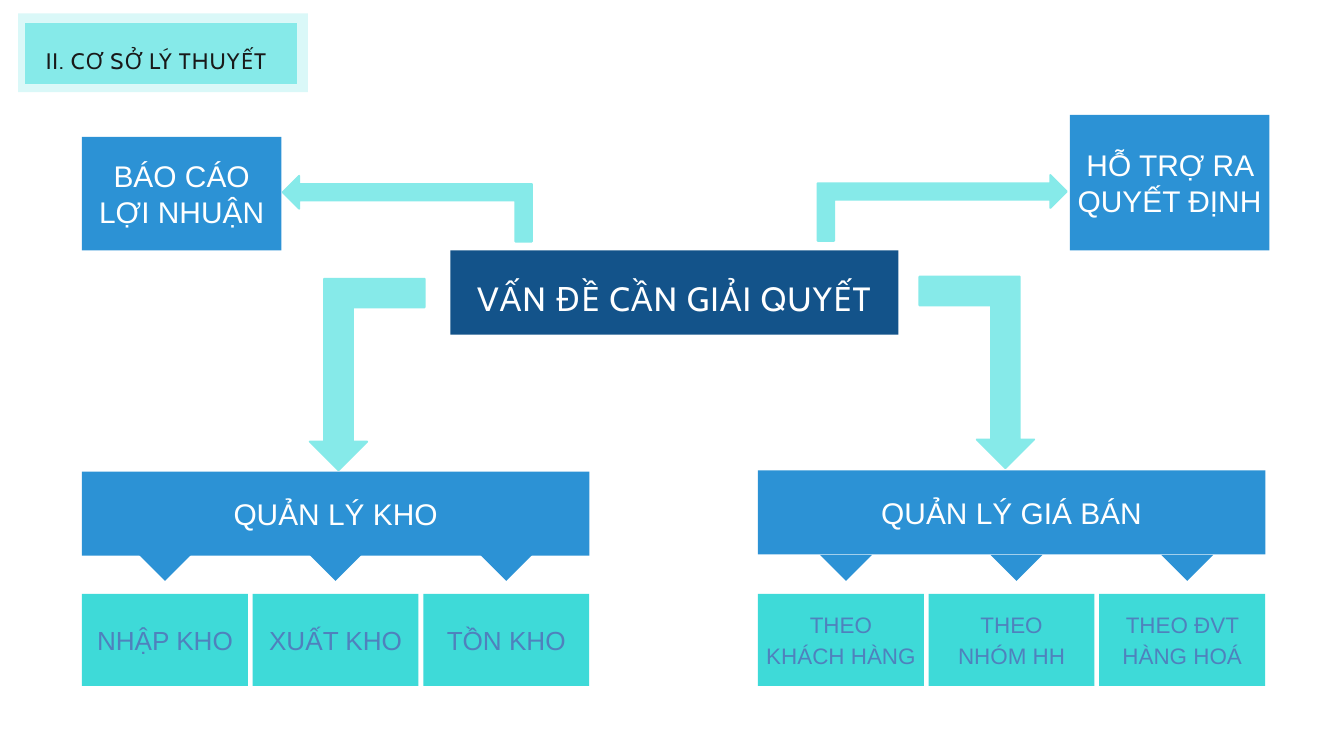
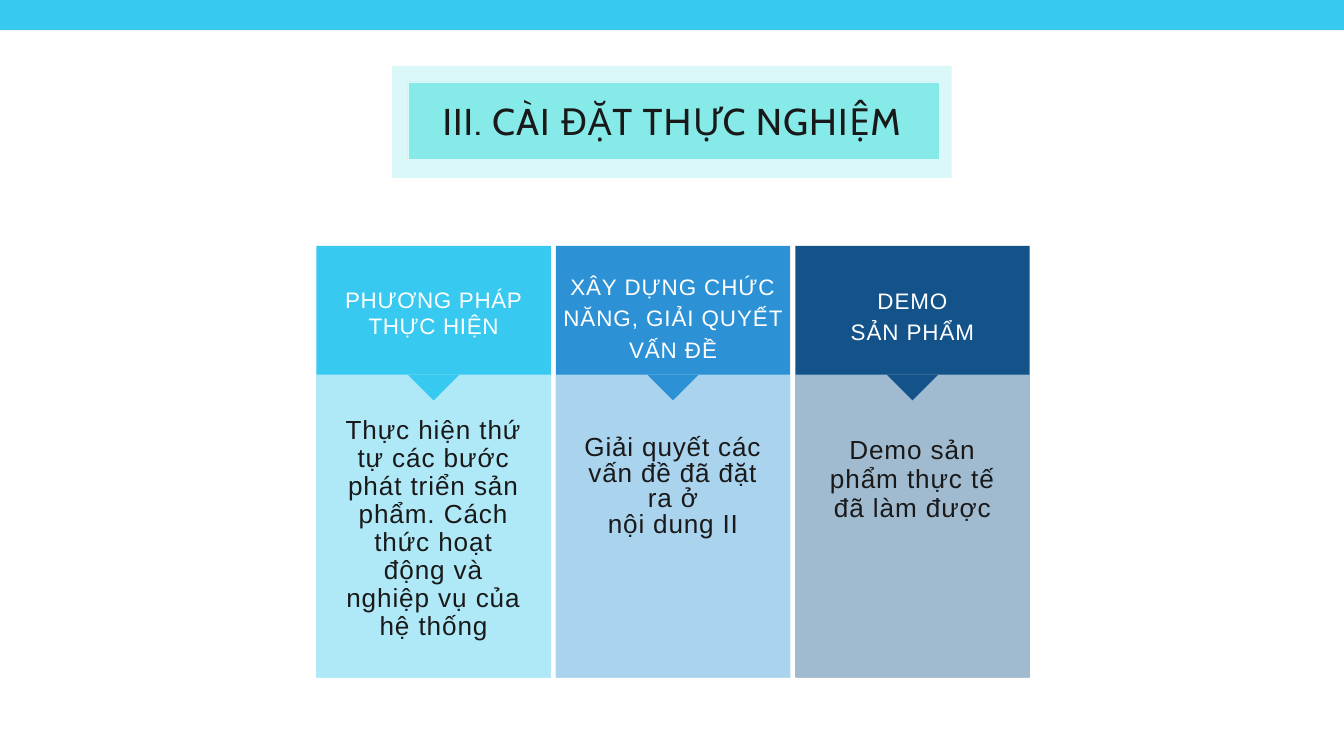
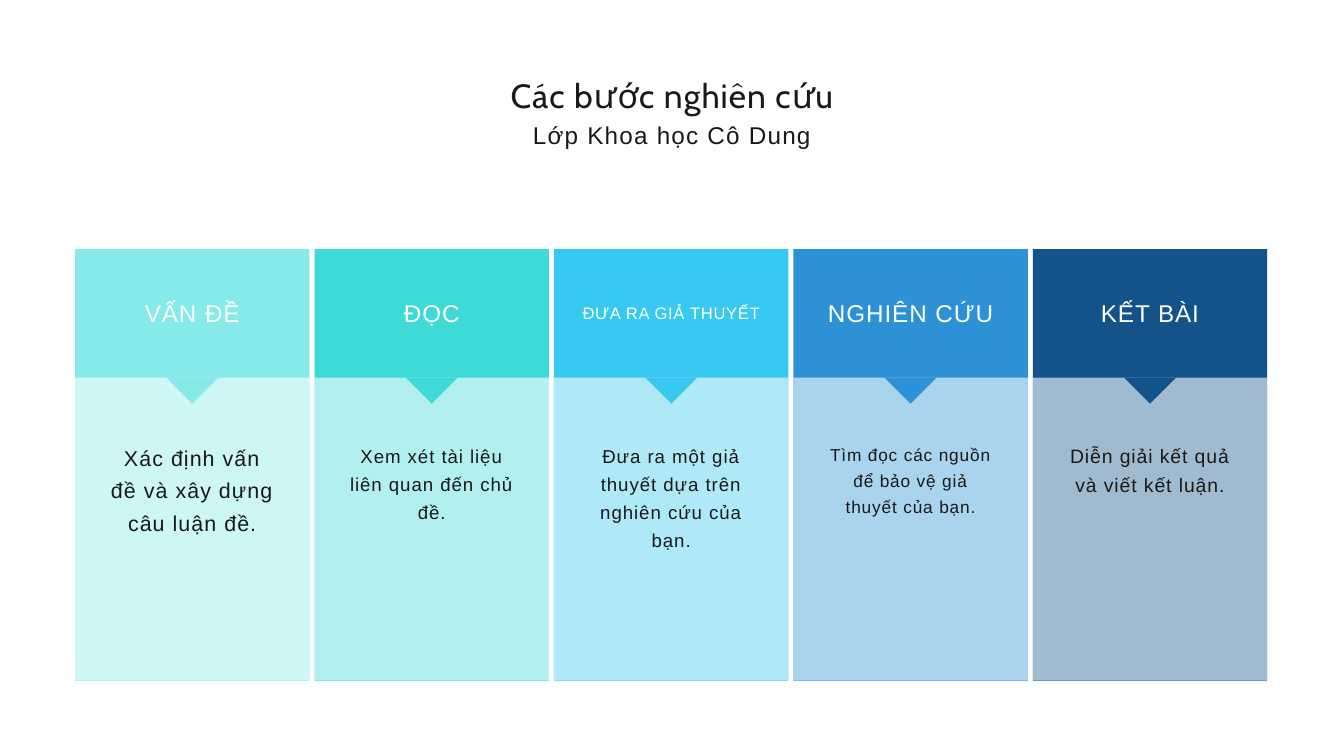
import pptx
import pptx.dml.color
import pptx.enum.shapes
import pptx.enum.text
import pptx.oxml
import pptx.oxml.ns
import pptx.util
from dataclasses import dataclass

Cm = pptx.util.Cm
Pt = pptx.util.Pt
RGBColor = pptx.dml.color.RGBColor
SHAPE = pptx.enum.shapes.MSO_SHAPE
ALIGN = pptx.enum.text.PP_ALIGN
ANCHOR = pptx.enum.text.MSO_ANCHOR
qn = pptx.oxml.ns.qn

# Colours and fonts
NAVY = RGBColor(0x13, 0x53, 0x8A)
BLUE = RGBColor(0x2C, 0x92, 0xD5)
SKY = RGBColor(0x37, 0xC9, 0xEF)
TURQUOISE = RGBColor(0x3E, 0xDA, 0xD8)
AQUA = RGBColor(0x86, 0xEA, 0xE9)
PALE = RGBColor(0xDB, 0xF9, 0xF8)
STEEL = RGBColor(0x4F, 0x81, 0xBD)
INK = RGBColor(0x19, 0x19, 0x19)
WHITE = RGBColor(0xFF, 0xFF, 0xFF)
HEADING_FONT = "Cabin"
TEXT_FONT = "Arial"

TEXT_SHADOW = (
    f'<a:effectLst {pptx.oxml.ns.nsdecls("a")}>'
    '<a:outerShdw blurRad="38100" dist="38100" dir="2700000" algn="tl">'
    '<a:srgbClr val="000000"><a:alpha val="43137"/></a:srgbClr>'
    '</a:outerShdw></a:effectLst>'
)


@dataclass
class Caption:
    """Text of a column part: top, width and height in cm, the rest in points."""
    text: str
    top: float
    width: float
    height: float
    size: float
    leading: float = None
    spacing: float = 1


class Deck:
    def __init__(self):
        self.presentation = pptx.Presentation()
        self.presentation.slide_width = Cm(50.8)
        self.presentation.slide_height = Cm(28.58)
        self.slide = None

    def new_slide(self):
        layout = self.presentation.slide_layouts.get_by_name("Title Only")
        self.slide = self.presentation.slides.add_slide(layout)

    def set_text(self, text_frame, text, size, color, font=TEXT_FONT, leading=None,
                 spacing=0, align=ALIGN.CENTER, shadow=False):
        text_frame.word_wrap = True
        text_frame.text = text
        for paragraph in text_frame.paragraphs:
            paragraph.alignment = align
            if leading:
                paragraph.line_spacing = Pt(leading)
            for run in paragraph.runs:
                run.font.name = font
                run.font.size = Pt(size)
                run.font.color.rgb = color
                properties = run.font._element
                if spacing:
                    properties.set("spc", str(round(spacing * 100)))
                if shadow:
                    fill = properties.find(qn("a:solidFill"))
                    fill.addnext(pptx.oxml.parse_xml(TEXT_SHADOW))

    def clear_margins(self, text_frame):
        text_frame.margin_left = text_frame.margin_right = 0
        text_frame.margin_top = text_frame.margin_bottom = 0
        text_frame.vertical_anchor = ANCHOR.TOP
        text_frame.auto_size = pptx.enum.text.MSO_AUTO_SIZE.NONE

    def paint(self, shape, color, line=None, line_width=0.75, opacity=None):
        shape.shadow.inherit = False
        shape.fill.solid()
        shape.fill.fore_color.rgb = color
        if opacity:
            color_element = shape.element.spPr.find(qn("a:solidFill"))[0]
            alpha = pptx.oxml.parse_xml(
                f'<a:alpha {pptx.oxml.ns.nsdecls("a")} val="{opacity * 1000}"/>')
            color_element.append(alpha)
        if line is None:
            shape.line.fill.background()
        else:
            shape.line.color.rgb = line
            shape.line.width = Pt(line_width)

    def title(self, text, left, top, width, height, size, align=ALIGN.CENTER):
        title = self.slide.shapes.title
        title.left, title.top = Cm(left), Cm(top)
        title.width, title.height = Cm(width), Cm(height)
        self.clear_margins(title.text_frame)
        self.set_text(title.text_frame, text, size, INK, HEADING_FONT, 47.2, 1.1, align)
        # The title goes in front of its banner
        title.element.getparent().append(title.element)

    def label(self, text, left, top, width, height, size, color, **style):
        box = self.slide.shapes.add_textbox(Cm(left), Cm(top), Cm(width), Cm(height))
        self.clear_margins(box.text_frame)
        self.set_text(box.text_frame, text, size, color, **style)

    def rectangle(self, left, top, width, height, color, text=None, **paint):
        shape = self.slide.shapes.add_shape(
            SHAPE.RECTANGLE, Cm(left), Cm(top), Cm(width), Cm(height))
        self.paint(shape, color, **paint)
        if text:
            shape.text_frame.vertical_anchor = ANCHOR.MIDDLE
            self.set_text(shape.text_frame, text, 32, WHITE)

    def pointer(self, center, top, color):
        """Small triangle that points down from the edge of a header."""
        half = 0.98
        builder = self.slide.shapes.build_freeform(Cm(center + half), Cm(top))
        builder.add_line_segments(
            [(Cm(center), Cm(top + half)), (Cm(center - half), Cm(top))])
        self.paint(builder.convert_to_shape(), color)

    def bent_arrow(self, left, top, width, height, rotation=0, flips=()):
        shape = self.slide.shapes.add_shape(
            SHAPE.BENT_UP_ARROW, Cm(left), Cm(top), Cm(width), Cm(height))
        shape.rotation = rotation
        for flip in flips:
            shape.element.spPr.find(qn("a:xfrm")).set(flip, "1")
        self.paint(shape, AQUA, AQUA, 2)

    def banner(self, outer, inner):
        self.rectangle(*outer, AQUA, opacity=30)
        self.rectangle(*inner, AQUA, line=PALE)

    def branch(self, left, top, heading, items, size, label_top, label_height,
               pointer_shift=0):
        """Wide header with three boxes below it."""
        box_width, step, box_top = 6.27, 6.45, 22.45
        self.rectangle(left, top, 19.18, 3.18, BLUE, heading)
        for index, item in enumerate(items):
            box_left = left + index * step
            self.rectangle(box_left, box_top, box_width, 3.48, TURQUOISE)
            self.label(item, box_left, label_top, box_width, label_height,
                       size, STEEL, leading=33.5)
            self.pointer(box_left + box_width / 2 + pointer_shift, 20.98, BLUE)

    def columns(self, left, top, columns, shadow=False):
        """Row of coloured columns, each with a header and a pale panel."""
        width, step, header = 8.86, 9.05, 4.86
        for index, (color, heading, body) in enumerate(columns):
            column_left = left + index * step
            center = column_left + width / 2
            self.rectangle(column_left, top, width, 16.31, color)
            self.rectangle(column_left, top + header, width, 11.43, WHITE, opacity=60)
            self.pointer(center, top + header, color)
            for caption, text_color in ((heading, WHITE), (body, INK)):
                self.label(caption.text, center - caption.width / 2, caption.top,
                           caption.width, caption.height, caption.size, text_color,
                           leading=caption.leading, spacing=caption.spacing,
                           shadow=shadow)


def add_theory(deck):
    deck.new_slide()
    # Central problem
    deck.rectangle(17.02, 9.47, 16.94, 3.18, NAVY)
    deck.label("VẤN ĐỀ CẦN GIẢI QUYẾT", 13.77, 10.36, 23.42, 1.57, 36, WHITE,
               font=HEADING_FONT, leading=47.2, spacing=1.1)
    # Lower branches
    deck.branch(3.1, 17.83, "QUẢN LÝ KHO", ["NHẬP KHO", "XUẤT KHO", "TỒN KHO"],
                28, 23.62, 1.14)
    deck.branch(28.65, 17.78, "QUẢN LÝ GIÁ BÁN",
                ["THEO\nKHÁCH HÀNG", "THEO\nNHÓM HH", "THEO ĐVT HÀNG HOÁ"],
                24, 22.92, 2.31, pointer_shift=0.19)
    # Upper branches
    deck.rectangle(3.1, 5.18, 7.54, 4.29, BLUE, "BÁO CÁO LỢI NHUẬN")
    deck.rectangle(40.44, 4.34, 7.54, 5.13, BLUE, "HỖ TRỢ RA QUYẾT ĐỊNH")
    # Arrows
    deck.bent_arrow(11.71, 10.54, 4.34, 7.24, flips=("flipH", "flipV"))
    deck.bent_arrow(34.75, 10.46, 4.34, 7.24, flips=("flipV",))
    deck.bent_arrow(34.37, 3.15, 2.49, 9.42, 90, flips=("flipH",))
    deck.bent_arrow(14.15, 3.18, 2.49, 9.42, 270)
    # Section title
    deck.banner((0.69, 0.51, 10.95, 2.97), (0.94, 0.84, 10.29, 2.34))
    deck.title("II. CƠ SỞ LÝ THUYẾT", 1.73, 1.14, 9.02, 1.47, 24, ALIGN.LEFT)


def add_experiment(deck):
    deck.new_slide()
    deck.rectangle(0, 0, 50.8, 1.14, SKY)
    deck.banner((14.81, 2.49, 21.16, 4.24), (15.42, 3.1, 20.07, 2.92))
    deck.title("III. CÀI ĐẶT THỰC NGHIỆM", 13.69, 3.73, 23.42, 1.68, 40)
    deck.columns(11.96, 9.3, [
        (SKY,
         Caption("PHƯƠNG PHÁP\nTHỰC HIỆN", 10.8, 7.09, 2.06, 24, spacing=0.7),
         Caption("Thực hiện thứ tự các bước phát triển sản phẩm. Cách thức hoạt "
                 "động và nghiệp vụ của hệ thống", 15.75, 7.09, 8.56, 28, 30)),
        (BLUE,
         Caption("XÂY DỰNG CHỨC NĂNG, GIẢI QUYẾT\nVẤN ĐỀ",
                 10.16, 8.86, 3.53, 24, 33.5),
         Caption("Giải quyết các vấn đề đã đặt ra ở\nnội dung II",
                 16.46, 7.09, 3.99, 28, 27.8, 0.9)),
        (NAVY,
         Caption("DEMO\nSẢN PHẨM", 10.67, 7.09, 2.34, 24, 33.5),
         Caption("Demo sản phẩm thực tế đã làm được",
                 16.46, 7.09, 3.3, 28, 31.1)),
    ], shadow=True)


def add_research_steps(deck):
    deck.new_slide()
    deck.title("Các bước nghiên cứu", 13.69, 2.69, 23.42, 1.6, 36)
    deck.label("Lớp Khoa học Cô Dung", 13.69, 4.37, 23.42, 1.22, 26, INK,
               leading=36.4, spacing=1.3)

    def heading(text):
        return Caption(text, 11.2, 7.09, 1.19, 26, 33.5)

    def body(text, height, size, leading, spacing=1):
        return Caption(text, 16.59, 6.22, height, size, leading, spacing)

    deck.columns(2.84, 9.42, [
        (AQUA, heading("VẤN ĐỀ"),
         body("Xác định vấn đề và xây dựng câu luận đề.", 3.66, 23, 34.5, 1.1)),
        (TURQUOISE, heading("ĐỌC"),
         body("Xem xét tài liệu liên quan đến chủ đề.", 3.15, 20, 30)),
        (SKY, Caption("ĐƯA RA GIẢ THUYẾT", 11.4, 7.09, 0.81, 17.8, 22.9, 0.7),
         body("Đưa ra một giả thuyết dựa trên nghiên cứu của bạn.", 4.22, 20, 30)),
        (BLUE, heading("NGHIÊN CỨU"),
         body("Tìm đọc các nguồn để bảo vệ giả thuyết của bạn.",
              2.95, 18.5, 27.8, 0.9)),
        (NAVY, heading("KẾT BÀI"),
         body("Diễn giải kết quả và viết kết luận.", 2.16, 20.8, 31.1)),
    ])


def main():
    deck = Deck()
    add_theory(deck)
    add_experiment(deck)
    add_research_steps(deck)
    deck.presentation.save("out.pptx")


if __name__ == "__main__":
    main()
